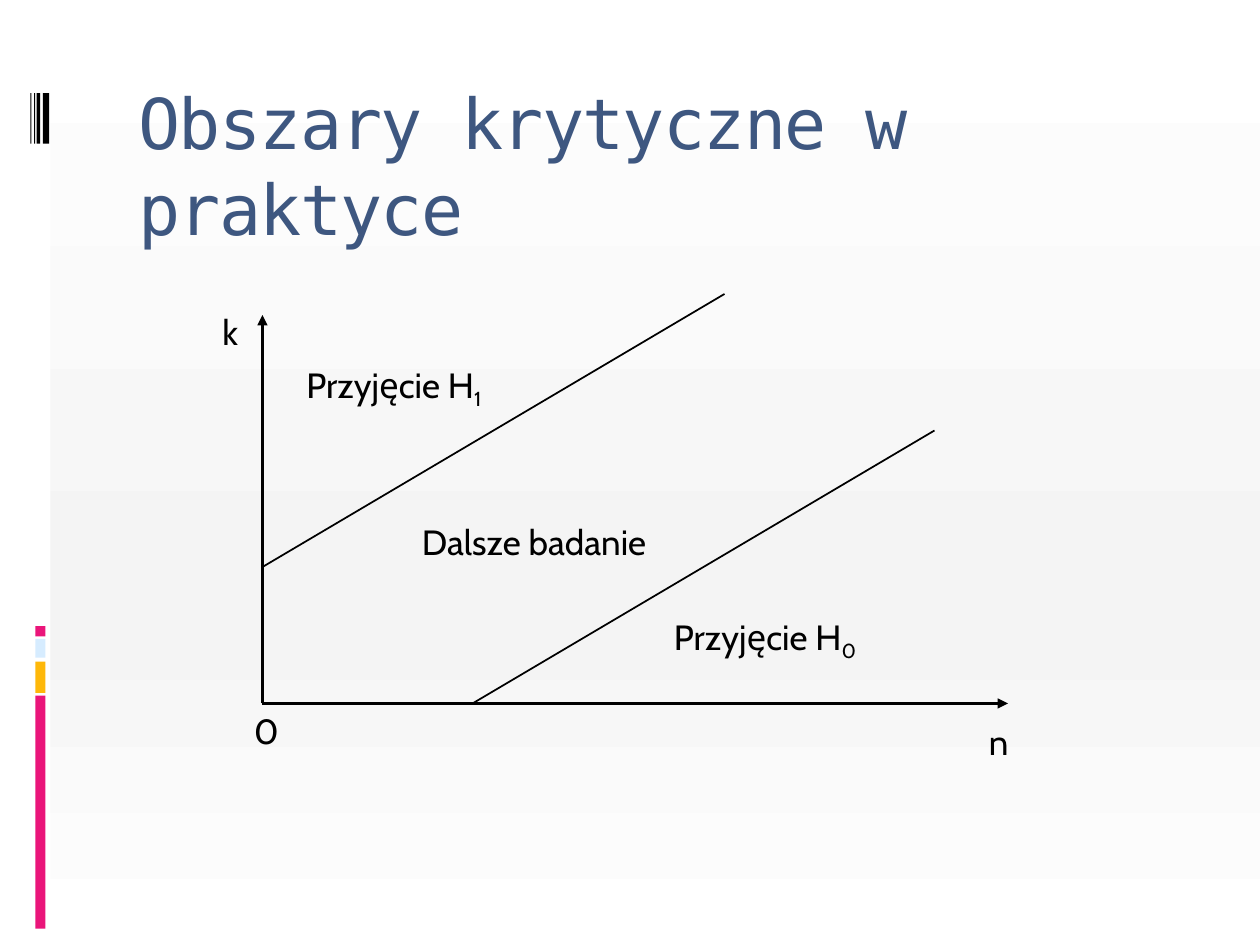
from copy import deepcopy

from pptx import Presentation
from pptx.dml.color import RGBColor
from pptx.enum.shapes import MSO_CONNECTOR as Connector, MSO_SHAPE as Shape
from pptx.enum.text import MSO_ANCHOR as Anchor, MSO_AUTO_SIZE as AutoSize, PP_ALIGN as Align
from pptx.oxml.ns import qn
from pptx.oxml.xmlchemy import OxmlElement
from pptx.util import Inches, Pt

COLORS = {
    "white": "FFFFFF", "grey": "F4F4F4", "black": "000000", "title": "3E5780",
    "pink": "EA157A", "amber": "FEB80A", "sky": "D6ECFF",
}
UNIT = Inches(1) / 12  # the diagram's grid step


def color(name):
    return RGBColor.from_string(COLORS[name])


def write_text(shape, text, font="Cabin", size=20, ink="black", subscript="",
               spacing=0, line_spacing=None, wrap=True):
    frame = shape.text_frame
    frame.word_wrap = wrap
    frame.auto_size = AutoSize.NONE
    frame.vertical_anchor = Anchor.TOP
    paragraph = frame.paragraphs[0]
    paragraph.alignment = Align.LEFT
    paragraph.line_spacing = line_spacing
    for part in filter(None, (text, subscript)):
        run = paragraph.add_run()
        run.text = part
        run.font.name, run.font.size = font, Pt(size)
        run.font.color.rgb = color(ink)
        if spacing:
            run.font._element.set("spc", str(spacing * 100))
    if subscript:
        run.font._element.set("baseline", "-25000")


def paint_background(slide):
    fill = slide.background.fill
    fill.gradient()
    fill.gradient_angle = 270
    stops = slide._element.find(".//" + qn("a:gsLst"))
    stops.append(deepcopy(stops[-1]))
    shades = ((0, "white"), (0.65, "grey"), (1, "white"))
    for stop, (position, name) in zip(fill.gradient_stops, shades):
        stop.position = position
        stop.color.rgb = color(name)


def add_block(slide, left, top, width, height, name):
    block = slide.shapes.add_shape(
        Shape.RECTANGLE, *map(Inches, (left, top, width, height)))
    block.shadow.inherit = False
    block.fill.solid()
    block.fill.fore_color.rgb = color(name)
    block.line.fill.background()


def add_side_band(slide, left, top, width, height):
    add_block(slide, left, top, width, height, "white")
    # Coloured bars, from the foot upwards
    for offset, length, name in ((5.52, 1.85, "pink"), (5.25, 0.25, "amber"),
                                 (5.07, 0.15, "sky"), (4.97, 0.08, "pink")):
        add_block(slide, left + 0.28, top + offset, 0.08, length, name)
    # Black stripes, thinning to the left
    for offset, thickness in ((0.34, 0.05), (0.29, 0.03), (0.27, 0.01), (0.24, 0.01)):
        add_block(slide, left + offset, top + 0.74, thickness, 0.4, "black")


def add_title(slide, left, top, width, height):
    title = slide.shapes.title
    title.left, title.top, title.width, title.height = map(
        Inches, (left, top, width, height))
    write_text(title, "Obszary krytyczne w praktyce", font="DejaVu Sans Mono",
               size=40, ink="title", spacing=-1, line_spacing=1.03)


def add_diagram(slide, left, top):
    """Draw the regions; left, top and all positions inside are in grid units."""
    group = slide.shapes.add_group_shape()

    def place(column, row):
        return round((left + column) * UNIT), round((top + row) * UNIT)

    def add_line(start, run, rise, width, arrow=False):
        column, row = start
        line = group.shapes.add_connector(
            Connector.STRAIGHT, *place(column, row), *place(column + run, row - rise))
        line.line.color.rgb = color("black")
        line.line.width = Pt(width)
        if arrow:
            tail = OxmlElement("a:tailEnd")
            tail.set("type", "triangle")
            line.line._get_or_add_ln().append(tail)
        line._element.spPr.append(OxmlElement("a:effectLst"))

    # Axes
    origin = (5, 39)
    add_line(origin, 0, 37, 1.5, arrow=True)
    add_line(origin, 71, 0, 1.5, arrow=True)

    # Parallel borders of the regions
    for start in ((5, 26), (25, 39)):
        add_line(start, 44, 26, 1)

    # Labels
    for column, row, width, text, subscript in (
            (73, 40, 5, "n", ""), (0, 1, 7, "k", ""),
            (8, 6, 33, "Przyjęcie H", "1"), (43, 30, 33, "Przyjęcie H", "0"),
            (19, 21, 28, "Dalsze badanie", ""), (3, 39, 5, "0", "")):
        label = group.shapes.add_textbox(
            *place(column, row), round(width * UNIT), Inches(0.43))
        write_text(label, text, subscript=subscript)


def main():
    presentation = Presentation()
    presentation.slide_width, presentation.slide_height = Inches(10), Inches(7.5)
    slide = presentation.slides.add_slide(presentation.slide_layouts[5])
    paint_background(slide)
    add_side_band(slide, 0, 0, 0.4, 7.5)
    add_title(slide, 1, 0.56, 8.5, 1)
    add_diagram(slide, 20, 28)
    presentation.save("out.pptx")


if __name__ == "__main__":
    main()
